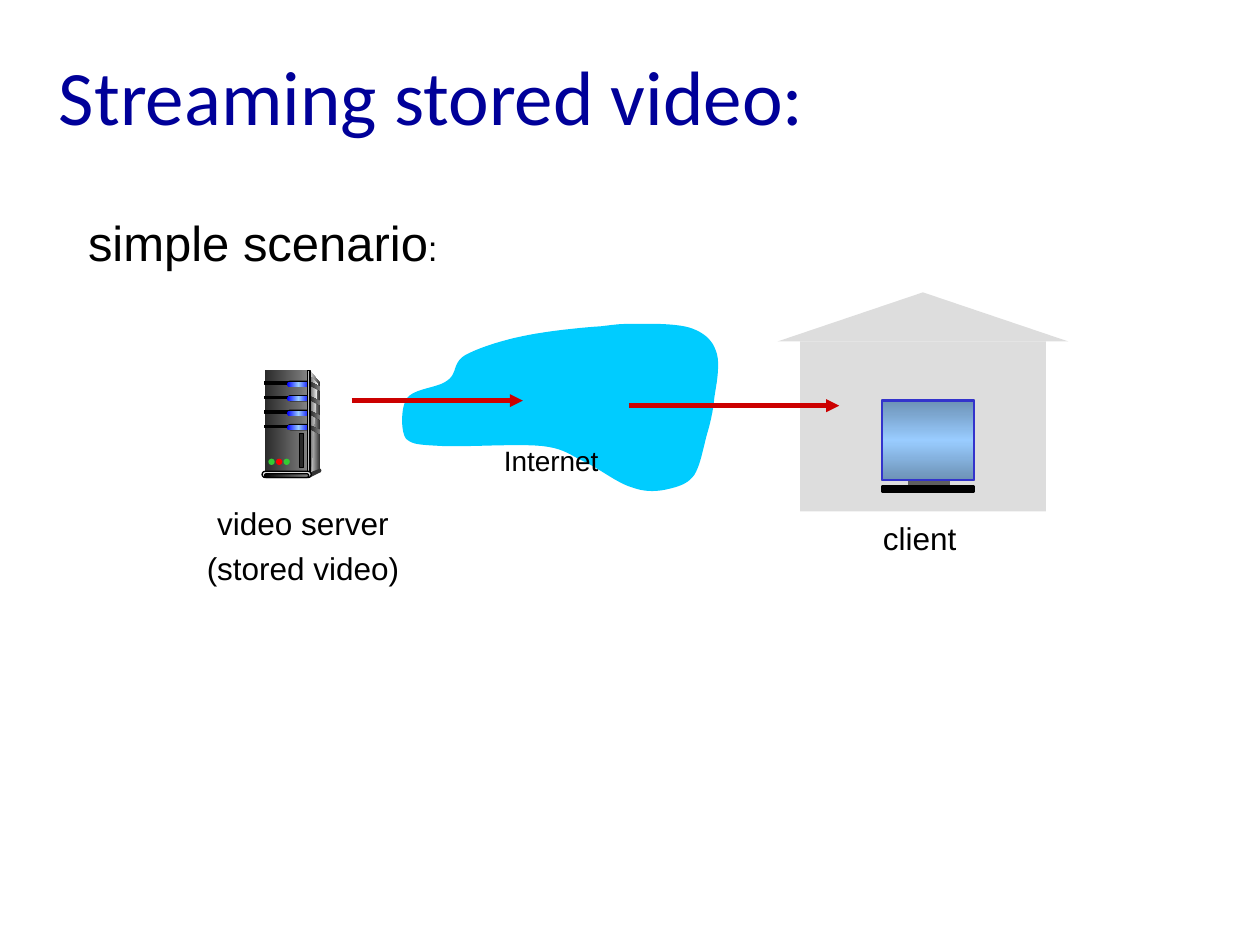
from lxml import etree
from pptx import Presentation
from pptx.dml.color import RGBColor
from pptx.enum.shapes import MSO_CONNECTOR, MSO_SHAPE
from pptx.enum.text import MSO_ANCHOR, PP_ALIGN
from pptx.oxml.ns import qn
from pptx.util import Inches, Pt

RECT = MSO_SHAPE.RECTANGLE
ROUNDED = MSO_SHAPE.ROUNDED_RECTANGLE
OVAL = MSO_SHAPE.OVAL
TRIANGLE = MSO_SHAPE.ISOSCELES_TRIANGLE
STRAIGHT = MSO_CONNECTOR.STRAIGHT
LEFT, CENTER = PP_ALIGN.LEFT, PP_ALIGN.CENTER
TOP, MIDDLE = MSO_ANCHOR.TOP, MSO_ANCHOR.MIDDLE

COLORS = {
    "title": "000099", "black": "000000", "house": "DDDDDD", "cloud": "00CCFF",
    "arrow": "CC0000", "charcoal": "292929", "dark": "333333", "grey": "808080",
    "pale": "F8F8F8", "blue": "0000FF", "sky": "99CCFF", "steel": "6D92B6",
    "stand": "5F5F5F", "frame": "3333CC", "green": "33CC33", "red": "FF0000",
}
CLOUD_START = (1.59, 0.02)
CLOUD_CURVES = [
    (1.43, 0.03, 1.14, 0.06, 0.96, 0.10), (0.77, 0.14, 0.60, 0.20, 0.51, 0.25),
    (0.41, 0.31, 0.45, 0.40, 0.37, 0.45), (0.30, 0.51, 0.11, 0.51, 0.05, 0.59),
    (0.00, 0.66, 0.00, 0.85, 0.04, 0.91), (0.09, 0.96, 0.15, 0.96, 0.32, 0.97),
    (0.50, 0.98, 0.93, 0.95, 1.12, 0.97), (1.31, 0.99, 1.35, 1.05, 1.47, 1.10),
    (1.59, 1.16, 1.73, 1.27, 1.84, 1.30), (1.95, 1.34, 2.05, 1.33, 2.13, 1.31),
    (2.21, 1.29, 2.28, 1.27, 2.33, 1.20), (2.38, 1.12, 2.40, 0.99, 2.43, 0.88),
    (2.46, 0.78, 2.48, 0.69, 2.49, 0.58), (2.51, 0.46, 2.54, 0.30, 2.50, 0.21),
    (2.47, 0.12, 2.39, 0.06, 2.29, 0.03), (2.19, 0.00, 2.02, 0.00, 1.90, 0.00),
    (1.78, 0.00, 1.74, 0.00, 1.59, 0.02),
]
CURVE_STEPS = 10


def rgb(name):
    return RGBColor.from_string(COLORS[name])


def paint(shape, fill, line=None, weight=0.75, angle=0):
    shape.shadow.inherit = False
    if fill is None:
        shape.fill.background()
    elif isinstance(fill, str):
        shape.fill.solid()
        shape.fill.fore_color.rgb = rgb(fill)
    else:
        shape.fill.gradient()
        shape.fill.gradient_angle = angle
        stops = shape._element.spPr.find(qn("a:gradFill")).find(qn("a:gsLst"))
        for stop in list(stops):
            stops.remove(stop)
        for index, name in enumerate(fill):
            position = 100000 * index // (len(fill) - 1)
            stop = etree.SubElement(stops, qn("a:gs"), pos=str(position))
            etree.SubElement(stop, qn("a:srgbClr"), val=COLORS[name])
    if line:
        shape.line.color.rgb = rgb(line)
        shape.line.width = Pt(weight)
    else:
        shape.line.fill.background()


def add_part(shapes, kind, left, top, width, height, fill, line=None, **style):
    part = shapes.add_shape(kind, Inches(left), Inches(top), Inches(width), Inches(height))
    if kind == ROUNDED:
        part.adjustments[0] = 0.5
    paint(part, fill, line, **style)


def add_outline(shapes, left, top, points, fill):
    corners = [(Inches(left + x), Inches(top + y)) for x, y in points]
    builder = shapes.build_freeform(*corners[0])
    builder.add_line_segments(corners[1:], close=True)
    paint(builder.convert_to_shape(), fill)


def add_text(slide, left, top, width, height, lines, size, font="Arial",
             color="black", align=LEFT, anchor=TOP):
    frame = slide.shapes.add_textbox(
        Inches(left), Inches(top), Inches(width), Inches(height)).text_frame
    frame.word_wrap = True
    frame.vertical_anchor = anchor
    frame.text = "\n".join(lines)
    for index, paragraph in enumerate(frame.paragraphs):
        paragraph.alignment = align
        if index:
            paragraph.space_before = Pt(size * 0.22)
        for run in paragraph.runs:
            run.font.size = Pt(size)
            run.font.name = font
            run.font.color.rgb = rgb(color)
    return frame


def add_heading(slide, left, top, width, height):
    frame = add_text(slide, left, top, width, height, ["simple scenario"], 28)
    colon = frame.paragraphs[0].add_run()
    colon.text = ":"
    colon.font.size = Pt(20)
    colon.font.name = "Arial"
    colon.font.color.rgb = rgb("black")


def add_house(slide, left, top, width, height):
    roof, eave = 0.39, 0.18
    shapes = slide.shapes.add_group_shape().shapes
    add_part(shapes, TRIANGLE, left, top, width, roof, "house")
    add_part(shapes, RECT, left + eave, top + roof, width - 2 * eave, height - roof, "house")


def add_monitor(slide, left, top, width, height):
    shapes = slide.shapes.add_group_shape().shapes
    screen = height - 0.09
    add_part(shapes, RECT, left, top, width, screen, ("steel", "sky", "steel"),
             "stand", weight=1.5, angle=90)
    add_part(shapes, RECT, left + 0.22, top + screen, 0.31, 0.04, "stand", "stand", weight=1.5)
    add_part(shapes, RECT, left, top + height - 0.04, width, 0.04, "black", "black", weight=1.5)
    add_part(shapes, RECT, left, top, width, screen, None, "frame", weight=1.5)


def add_server(slide, left, top, width, height):
    shapes = slide.shapes.add_group_shape().shapes
    body = height - 0.03
    side = left + 0.38
    metal = ("charcoal", "grey")
    add_outline(shapes, side, top, [(0, 0), (0.08, 0.1), (0.08, 0.78), (0, body)],
                ("house", "dark"))
    add_part(shapes, RECT, left + 0.02, top, 0.34, body, metal)
    add_outline(shapes, side, top, [(0.01, 0.05), (0.06, 0.11), (0.03, 0.45), (0.01, 0.8)],
                ("grey", "pale"))
    for row in range(4):
        y = top + 0.09 + row * 0.115
        add_part(shapes, RECT, left + 0.02, y, 0.19, 0.02, "black", "black")
        add_part(shapes, ROUNDED, left + 0.2, y - 0.01, 0.19, 0.05, "black")
        add_part(shapes, ROUNDED, left + 0.2, y, 0.18, 0.04, ("blue", "sky", "blue"))
        add_outline(shapes, side, y, [(0, 0), (0.08, 0.04), (0.08, 0.07), (0, 0.03)], metal)
    add_part(shapes, RECT, left + 0.36, top, 0.02, body, ("dark", "house", "dark"), "black")
    add_part(shapes, OVAL, left + 0.45, top + 0.78, 0.02, 0.03, "dark")
    add_outline(shapes, side, top + 0.78, [(0, 0.03), (0, 0.07), (0.08, 0.03), (0.08, 0)], "dark")
    add_part(shapes, ROUNDED, left, top + 0.8, width - 0.08, 0.05, "house", "black")
    add_part(shapes, ROUNDED, left + 0.02, top + body, 0.35, 0.03, ("black", "grey"), "black")
    for index, light in enumerate(("green", "red", "green")):
        add_part(shapes, OVAL, left + 0.05 + index * 0.06, top + 0.7, 0.05, 0.05, light)
    add_part(shapes, RECT, left + 0.3, top + 0.5, 0.03, 0.27, "charcoal", "black")


def add_cloud(slide, left, top):
    points = [CLOUD_START]
    for x1, y1, x2, y2, x3, y3 in CLOUD_CURVES:
        x0, y0 = points[-1]
        for step in range(1, CURVE_STEPS + 1):
            t = step / CURVE_STEPS
            a, b, c, d = (1 - t) ** 3, 3 * t * (1 - t) ** 2, 3 * t * t * (1 - t), t ** 3
            points.append((a * x0 + b * x1 + c * x2 + d * x3,
                           a * y0 + b * y1 + c * y2 + d * y3))
    add_outline(slide.shapes, left, top, points, "cloud")


def add_flow(slide, left, y, right):
    flow = slide.shapes.add_connector(
        STRAIGHT, Inches(left), Inches(y), Inches(right), Inches(y))
    flow.line.color.rgb = rgb("arrow")
    flow.line.width = Pt(2.5)
    properties = flow._element.spPr
    etree.SubElement(properties.find(qn("a:ln")), qn("a:tailEnd"), type="triangle")
    etree.SubElement(properties, qn("a:effectLst"))


def main():
    deck = Presentation()
    deck.slide_width, deck.slide_height = Inches(10), Inches(7.5)
    slide = deck.slides.add_slide(deck.slide_layouts[6])
    add_house(slide, 6.17, 2.32, 2.31, 1.74)
    add_server(slide, 2.08, 2.94, 0.47, 0.85)
    add_text(slide, 0.37, 0.13, 8.5, 1.25, ["Streaming stored video:"], 44,
             "Calibri", "title", anchor=MIDDLE)
    add_monitor(slide, 7, 3.18, 0.73, 0.72)
    add_heading(slide, 0.6, 1.64, 3.01, 0.57)
    add_cloud(slide, 3.18, 2.57)
    add_flow(slide, 2.79, 3.18, 4.15)
    add_flow(slide, 4.99, 3.22, 6.66)
    add_text(slide, 1.5, 3.95, 1.81, 0.77, ["video server", "(stored video)"], 18, align=CENTER)
    add_text(slide, 6.91, 4.07, 0.84, 0.4, ["client"], 18)
    add_text(slide, 3.9, 3.47, 1.01, 0.37, ["Internet"], 16)
    deck.save("out.pptx")


if __name__ == "__main__":
    main()
